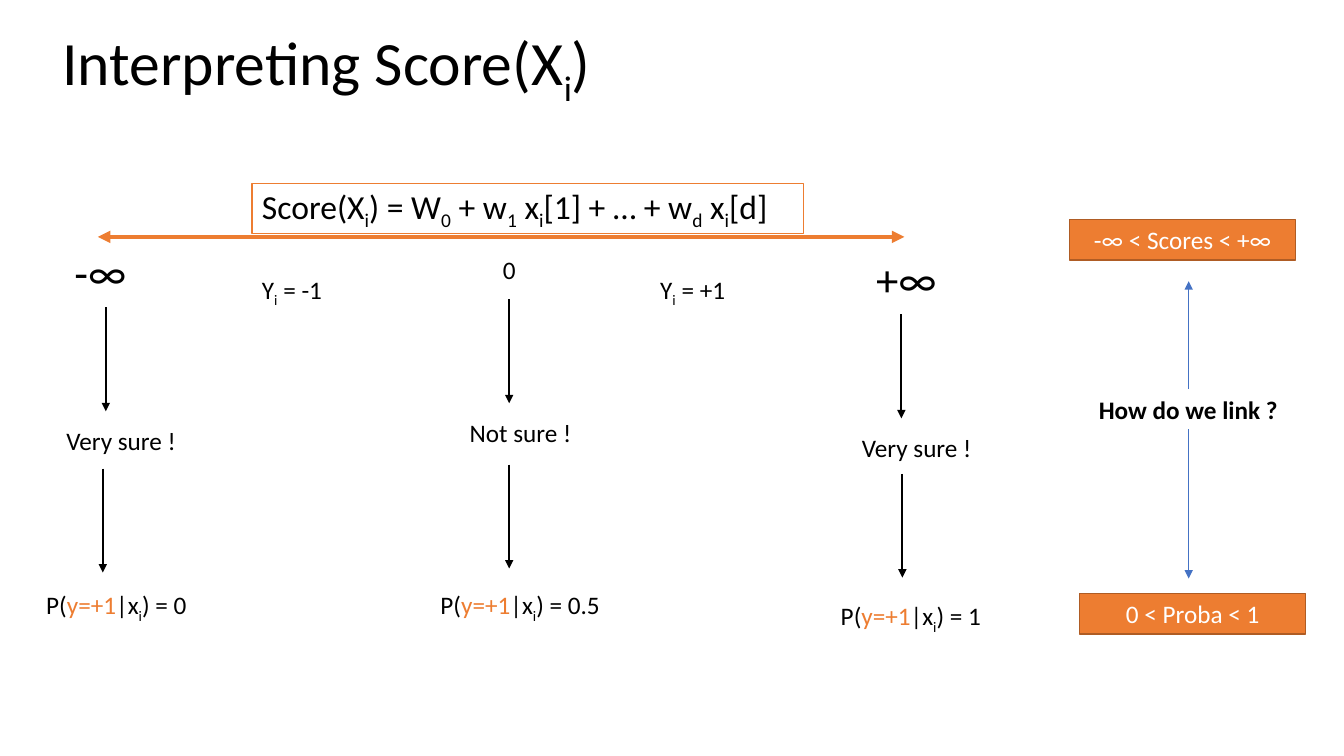
"""Build the slide that interprets a linear score as a probability."""
from lxml import etree
from pptx import Presentation, util as u
from pptx.dml.color import RGBColor
from pptx.enum import shapes, text
from pptx.oxml.ns import qn

BLACK = RGBColor(0x00, 0x00, 0x00)
WHITE = RGBColor(0xFF, 0xFF, 0xFF)
ORANGE = RGBColor(0xED, 0x7D, 0x31)
BROWN = RGBColor(0xAF, 0x5C, 0x24)
BLUE = RGBColor(0x44, 0x72, 0xC4)
FONT = "Calibri"
COLUMN = ROW = u.Inches(0.1)
LINE_ROWS = 4
ARROW_ROWS = 10.3

presentation = Presentation()
presentation.slide_width = u.Inches(13.33)
presentation.slide_height = u.Inches(7.5)
slide = presentation.slides.add_slide(presentation.slide_layouts[5])


def write(shape, box, markup, size=18, color=BLACK, bold=False, align=text.PP_ALIGN.LEFT):
    """Place a shape on the grid and fill it; ~x~ is a subscript, *x* an accent."""
    left, top, width, height = box
    shape.left, shape.top = int(left * COLUMN), int(top * ROW)
    shape.width, shape.height = int(width * COLUMN), int(height * ROW)
    shape.text_frame.word_wrap = True
    paragraph = shape.text_frame.paragraphs[0]
    paragraph.alignment = align
    for level, piece in enumerate(markup.split("~")):
        for accent, part in enumerate(piece.split("*")):
            run = paragraph.add_run()
            run.text = part
            run.font.name, run.font.size, run.font.bold = FONT, u.Pt(size), bold
            run.font.color.rgb = ORANGE if accent % 2 else color
            if level % 2:
                run.font._element.set("baseline", "-25000")


def draw_arrow(start, end, color=BLACK, weight=1.5, ends=("tailEnd",)):
    """Draw a straight arrow between two grid points."""
    connector = slide.shapes.add_connector(
        shapes.MSO_CONNECTOR.STRAIGHT,
        int(start[0] * COLUMN), int(start[1] * ROW), int(end[0] * COLUMN), int(end[1] * ROW))
    connector.line.color.rgb = color
    connector.line.width = u.Pt(weight)
    for end_name in ends:
        etree.SubElement(connector.line._get_or_add_ln(), qn("a:" + end_name), type="triangle")
    etree.SubElement(connector._element.spPr, qn("a:effectLst"))


title = slide.shapes.title
write(title, (5.2, 2, 120, 12.5), "Interpreting Score(X~i~)", 44)
title.text_frame.vertical_anchor = text.MSO_ANCHOR.TOP
title.text_frame.auto_size = text.MSO_AUTO_SIZE.NONE
title.text_frame.paragraphs[0].line_spacing = 0.9

draw_arrow((9.7, 23.5), (89.7, 23.5), ORANGE, 3, ("headEnd", "tailEnd"))

center = text.PP_ALIGN.CENTER
boxes = [
    ((25, 18.2, 54.7, 5), "Score(X~i~) = W~0~ + w~1~ x~i~[1] + … + w~d~ x~i~[d]",
     24, BLACK, WHITE, ORANGE, text.PP_ALIGN.LEFT),
    ((106.1, 21.8, 22.4, LINE_ROWS), "-∞ < Scores < +∞", 18, WHITE, ORANGE, BROWN, center),
    ((107.1, 58.9, 22.4, LINE_ROWS), "0 < Proba < 1", 18, WHITE, ORANGE, BROWN, center),
]
for box, markup, size, color, fill, outline, align in boxes:
    shape = slide.shapes.add_shape(shapes.MSO_SHAPE.RECTANGLE, 0, 0, COLUMN, ROW)
    shape.shadow.inherit = False
    shape.fill.solid()
    shape.fill.fore_color.rgb = fill
    shape.line.color.rgb = outline
    shape.line.width = u.Pt(1)
    write(shape, box, markup, size, color, align=align)

labels = [
    ((6.4, 23.8, 14.8, 6.4), "-∞", 32),
    ((85.9, 24.5, 14.8, 6.4), "+∞", 32),
    ((48.9, 24.7, 8, LINE_ROWS), "0", 18),
    ((25, 26.7, 12, LINE_ROWS), "Y~i~ = -1", 18),
    ((64.5, 26.7, 12, LINE_ROWS), "Y~i~ = +1", 18),
]
for box, markup, size in labels:
    write(slide.shapes.add_textbox(0, 0, COLUMN, ROW), box, markup, size)

cases = [
    ((10.5, 30.5), "Very sure !", (10.2, 46.5), (3.6, 58), "0"),
    ((50.5, 29.7), "Not sure !", (50.5, 46.1), (42.7, 58), "0.5"),
    ((89.4, 31.2), "Very sure !", (89.5, 47), (82.4, 59.1), "1"),
]
for first, verdict, second, corner, value in cases:
    for x, y in (first, second):
        draw_arrow((x, y), (x, y + ARROW_ROWS))
    write(slide.shapes.add_textbox(0, 0, COLUMN, ROW),
          (first[0] - 4.9, first[1] + 11.2, 23, LINE_ROWS), verdict)
    write(slide.shapes.add_textbox(0, 0, COLUMN, ROW),
          (*corner, 18.2, LINE_ROWS), f"P(*y=+1*|x~i~) = {value}")

write(slide.shapes.add_textbox(0, 0, COLUMN, ROW), (107.4, 38.6, 20.9, LINE_ROWS),
      "How do we link ?", bold=True, align=center)
for start, end in ((38.6, 27.9), (42.6, 57.4)):
    draw_arrow((117.9, start), (117.9, end), BLUE, 0.5)

presentation.save("out.pptx")
